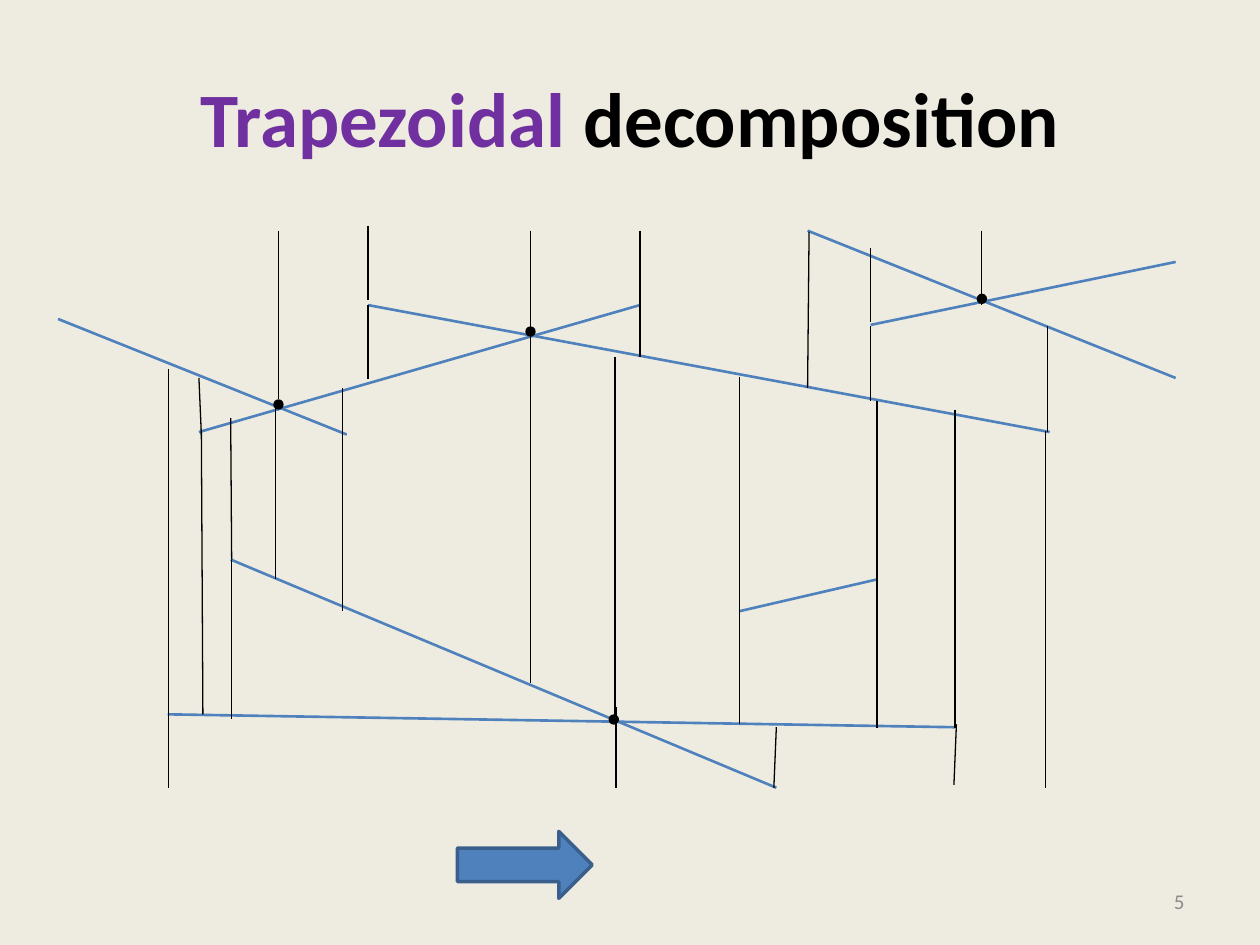
import pptx
import pptx.dml.color
import pptx.enum.shapes
import pptx.enum.text
import pptx.util
from lxml import etree
from pptx.oxml.ns import qn

Cm = pptx.util.Cm
Pt = pptx.util.Pt
Shape = pptx.enum.shapes.MSO_SHAPE
Align = pptx.enum.text.PP_ALIGN
color = pptx.dml.color.RGBColor.from_string

deck = pptx.Presentation()
deck.slide_width, deck.slide_height = Cm(25.4), Cm(19.05)
page = deck.slides.add_slide(deck.slide_layouts[6])
page.background.fill.solid()
page.background.fill.fore_color.rgb = color("EEECE1")


def add_line(x1, y1, x2, y2, hex_color, width):
    line = page.shapes.add_connector(
        pptx.enum.shapes.MSO_CONNECTOR.STRAIGHT, Cm(x1), Cm(y1), Cm(x2), Cm(y2))
    line.line.color.rgb = color(hex_color)
    line.line.width = Pt(width)
    etree.SubElement(line._element.spPr, qn("a:effectLst"))


def add_text(left, top, width, height, align, size, bold, spans):
    """Add a one-paragraph box from (text, colour) spans."""
    box = page.shapes.add_textbox(Cm(left), Cm(top), Cm(width), Cm(height))
    box.text_frame.word_wrap = True
    box.text_frame.vertical_anchor = pptx.enum.text.MSO_ANCHOR.MIDDLE
    para = box.text_frame.paragraphs[0]
    para.alignment = align
    para.font.name, para.font.size, para.font.bold = "Calibri", Pt(size), bold
    for text, hex_color in spans:
        span = para.add_run()
        span.text = text
        span.font.color.rgb = color(hex_color)


# Input segments: x1, y1, x2, y2
segments = [
    (3.38, 14.4, 19.25, 14.66),
    (4.01, 8.71, 12.9, 6.15),
    (14.91, 12.32, 17.68, 11.68),
    (7.42, 6.15, 21.16, 8.71),
    (4.65, 11.28, 15.65, 15.88),
    (17.55, 6.55, 23.7, 5.28),
    (16.28, 4.65, 23.7, 7.62),
    (1.17, 6.43, 6.99, 8.76),
]
for segment in segments:
    add_line(*segment, "4F81BD", 1.5)

add_text(1.27, 0.76, 22.86, 3.18, Align.CENTER, 44, True,
         [("Trapezoidal ", "7030A0"), ("decomposition", "000000")])
add_text(18.21, 17.65, 5.92, 1.02, Align.RIGHT, 12, False, [("5", "8C8C8C")])

# Vertical walls: x, top, bottom
walls = [
    (3.4, 7.44, 14.4), (3.4, 14.25, 15.88),
    (4.67, 11.28, 14.5),
    (5.56, 8.08, 11.68), (5.61, 4.65, 8.05),
    (6.91, 7.82, 8.61), (6.91, 8.61, 12.32),
    (7.42, 4.55, 6.05), (7.42, 6.15, 7.65),
    (10.69, 4.65, 6.63), (10.69, 6.63, 13.77),
    (12.4, 7.19, 14.6), (12.42, 14.25, 15.88),
    (12.9, 4.65, 6.15), (12.9, 6.15, 7.19),
    (14.91, 7.59, 12.32), (14.91, 12.24, 14.6),
    (17.55, 5, 6.5), (17.55, 6.58, 8.08),
    (17.68, 8.08, 11.68), (17.68, 11.68, 14.68),
    (19.25, 8.26, 14.68),
    (19.79, 4.65, 6.15),
    (21.08, 8.69, 15.88), (21.11, 6.58, 8.71),
]
for x, top, bottom in walls:
    add_line(x, top, x, bottom, "000000", 0.75)

# Walls that lean slightly: x1, y1, x2, y2
leaning_walls = [
    (4.01, 7.62, 4.06, 8.76),
    (4.06, 8.69, 4.09, 14.4),
    (4.65, 8.43, 4.67, 11.28),
    (15.65, 14.66, 15.6, 15.88),
    (16.31, 4.67, 16.28, 7.82),
    (19.28, 14.6, 19.23, 15.82),
]
for wall in leaning_walls:
    add_line(*wall, "000000", 0.75)

dot_size = 0.21
for left, top in [(10.59, 6.58), (19.69, 5.92), (12.27, 14.4), (5.51, 8.05)]:
    dot = page.shapes.add_shape(Shape.OVAL, Cm(left), Cm(top), Cm(dot_size), Cm(dot_size))
    dot.shadow.inherit = False
    dot.fill.solid()
    dot.fill.fore_color.rgb = color("000000")
    dot.line.fill.background()

sweep_arrow = page.shapes.add_shape(
    Shape.RIGHT_ARROW, Cm(9.22), Cm(16.76), Cm(2.72), Cm(1.35))
sweep_arrow.shadow.inherit = False
sweep_arrow.fill.solid()
sweep_arrow.fill.fore_color.rgb = color("4F81BD")
sweep_arrow.line.color.rgb = color("3A5F8C")
sweep_arrow.line.width = Pt(2)

deck.save("out.pptx")
